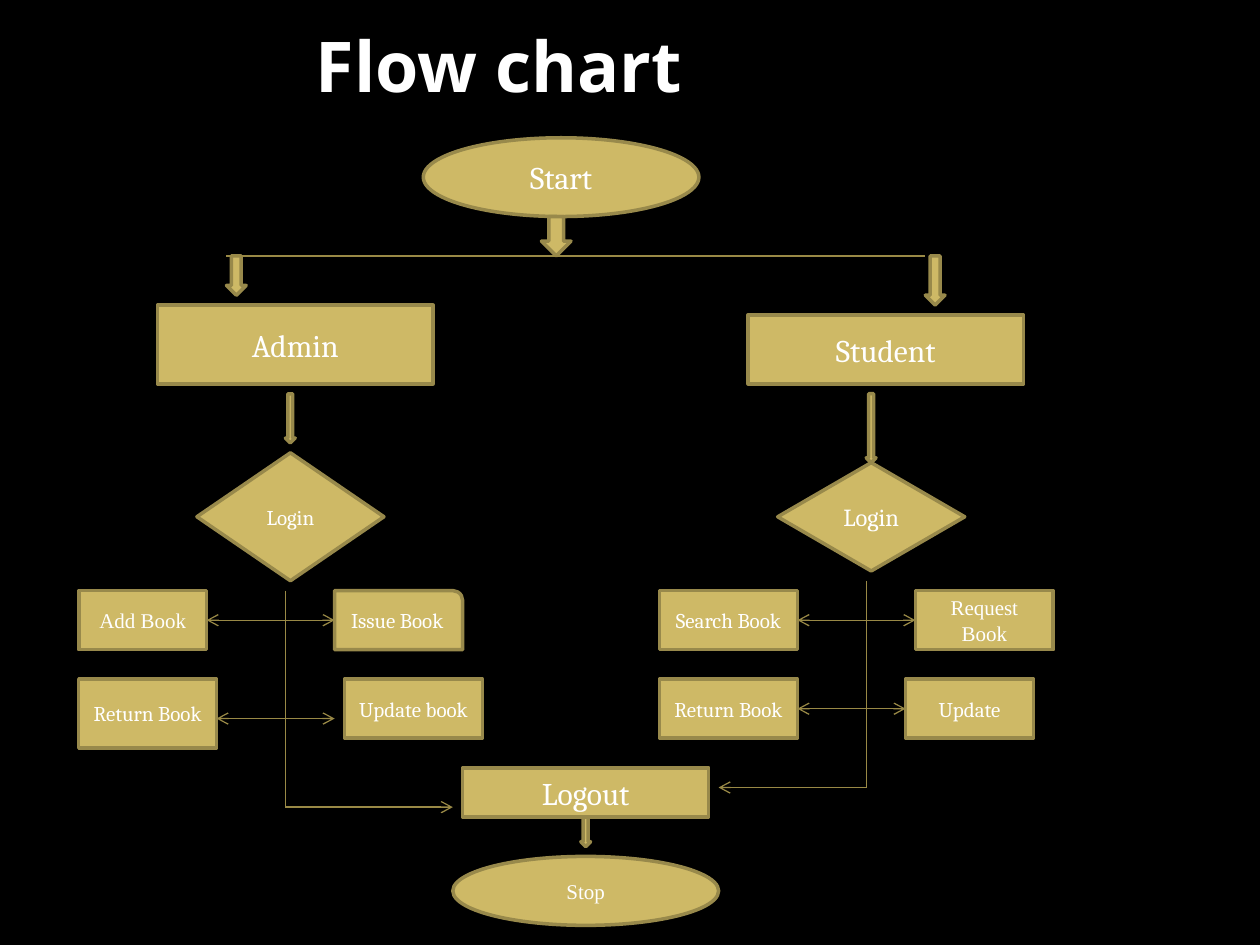
from dataclasses import dataclass
from typing import NamedTuple

from lxml.etree import SubElement
from pptx import Presentation
from pptx.dml.color import RGBColor
from pptx.enum.shapes import MSO_CONNECTOR as Connector, MSO_SHAPE as Shape
from pptx.enum.text import MSO_ANCHOR as Anchor, PP_ALIGN as Align
from pptx.oxml.ns import qn
from pptx.util import Pt


@dataclass(frozen=True)
class Theme:
    background: RGBColor = RGBColor(0x00, 0x00, 0x00)
    fill: RGBColor = RGBColor(0xCE, 0xB9, 0x66)
    outline: RGBColor = RGBColor(0x98, 0x89, 0x4B)
    connector: RGBColor = RGBColor(0x99, 0x89, 0x46)
    text: RGBColor = RGBColor(0xFF, 0xFF, 0xFF)
    title_font: str = "Open Sans"
    body_font: str = "Cambria"
    plain_font: str = "Times New Roman"
    title_size: int = 40
    large: int = 18
    medium: int = 14
    small: int = 12
    outline_width: float = 2
    connector_width: float = 0.75


THEME = Theme()
LEFT, RIGHT = 1, 3  # connection sites of a rectangle


class Node(NamedTuple):
    key: str
    label: str
    left: float
    top: float
    width: float
    height: float
    size: int = THEME.small
    kind: Shape = Shape.RECTANGLE
    font: str = THEME.body_font


class BlockArrow(NamedTuple):
    left: float
    top: float
    width: float
    height: float


class Line(NamedTuple):
    x1: float
    y1: float
    x2: float
    y2: float
    head: bool = False
    tail: bool = False
    start: str = ""
    end: str = ""


ROW_1, ROW_2 = 337.5, 388.1  # tops of the two rows of actions
NARROW, WIDE, ACTION_HEIGHT = 73.1, 78.8, 33.8
ROLE_WIDTH, DIAMOND_WIDTH = 157.5, 106.9

NODES = [
    Node("start", "Start", 241.9, 78.75, ROLE_WIDTH, 45, THEME.large, Shape.OVAL),
    Node("stop", "Stop", 258.75, 489.4, 151.9, 39.4, kind=Shape.OVAL, font=THEME.plain_font),
    Node("admin", "Admin", 90, 174.4, ROLE_WIDTH, 45, THEME.large),
    Node("student", "Student", 427.5, 180, ROLE_WIDTH, 39.4, THEME.large),
    Node("admin login", "Login", 112.5, 258.75, DIAMOND_WIDTH, 73.1, kind=Shape.DIAMOND),
    Node("student login", "Login", 444.4, 264.4, DIAMOND_WIDTH, 61.9, THEME.medium, Shape.DIAMOND),
    Node("logout", "Logout", 264.4, 438.75, 140.6, 28.1, THEME.large),
    # Admin actions
    Node("add", "Add Book", 45, ROW_1, NARROW, ACTION_HEIGHT, font=THEME.plain_font),
    Node("issue", "Issue Book", 191.25, ROW_1, NARROW, ACTION_HEIGHT, kind=Shape.ROUND_1_RECTANGLE),
    Node("admin return", "Return Book", 45, ROW_2, WIDE, 39.4),
    Node("update book", "Update book", 196.9, ROW_2, WIDE, ACTION_HEIGHT),
    # Student actions
    Node("search", "Search Book", 376.9, ROW_1, WIDE, ACTION_HEIGHT),
    Node("request", "Request Book", 523.1, ROW_1, WIDE, ACTION_HEIGHT, font=THEME.plain_font),
    Node("student return", "Return Book", 376.9, ROW_2, WIDE, ACTION_HEIGHT),
    Node("update", "Update", 517.5, ROW_2, NARROW, ACTION_HEIGHT),
]

BLOCK_ARROWS = [
    BlockArrow(309.4, 123.75, 16.9, 22.5),
    BlockArrow(129.4, 146.25, 11.25, 22.5),
    BlockArrow(528.75, 146.25, 11.25, 28.1),
    BlockArrow(163.1, 225, 5.6, 28.1),
    BlockArrow(495, 225, 5.6, 39.4),
    BlockArrow(331.9, 466.9, 5.6, 16.9),
]

LINES = [
    Line(129.4, 146.25, 528.75, 146.25),
    # Paths down to logout
    Line(163.1, 337.5, 163.1, 461.25),
    Line(495, 331.9, 495, 450),
    Line(163.1, 461.25, 258.75, 461.25, tail=True),
    Line(495, 450, 410.6, 450, tail=True),
    # Links between paired actions
    Line(118.1, 354.4, 191.25, 354.4, True, True, "add", "issue"),
    Line(123.75, 410.6, 191.25, 410.6, True, True),
    Line(455.7, 354.4, 523.1, 354.4, True, True, "search", "request"),
    Line(455.7, 405, 517.5, 405, True, True, "student return", "update"),
]


def format_text(frame, font: str, size: int, bold: bool = False) -> None:
    frame.word_wrap = True
    frame.vertical_anchor = Anchor.MIDDLE
    for para in frame.paragraphs:
        para.alignment = Align.CENTER
        for span in para.runs:
            span.font.name = font
            span.font.size = Pt(size)
            span.font.bold = bold
            span.font.color.rgb = THEME.text


def add_block(page, kind: Shape, left: float, top: float, width: float, height: float):
    box = page.shapes.add_shape(kind, Pt(left), Pt(top), Pt(width), Pt(height))
    box.shadow.inherit = False
    box.fill.solid()
    box.fill.fore_color.rgb = THEME.fill
    box.line.color.rgb = THEME.outline
    box.line.width = Pt(THEME.outline_width)
    return box


def add_node(page, node: Node):
    box = add_block(page, node.kind, node.left, node.top, node.width, node.height)
    box.text_frame.text = node.label
    format_text(box.text_frame, node.font, node.size)
    return box


def add_line(page, line: Line, boxes: dict) -> None:
    link = page.shapes.add_connector(
        Connector.STRAIGHT, Pt(line.x1), Pt(line.y1), Pt(line.x2), Pt(line.y2))
    if line.start:
        link.begin_connect(boxes[line.start], RIGHT)
    if line.end:
        link.end_connect(boxes[line.end], LEFT)
    link.line.color.rgb = THEME.connector
    link.line.width = Pt(THEME.connector_width)
    outline = link.line._get_or_add_ln()
    for tag, shown in (("a:headEnd", line.head), ("a:tailEnd", line.tail)):
        if shown:
            SubElement(outline, qn(tag), type="arrow")
    SubElement(link._element.spPr, qn("a:effectLst"))


def add_title(page) -> None:
    title = page.shapes.title
    title.left, title.top, title.width, title.height = Pt(36), Pt(0), Pt(498), Pt(73.5)
    title.text_frame.text = "Flow chart"
    format_text(title.text_frame, THEME.title_font, THEME.title_size, bold=True)


def main() -> None:
    deck = Presentation()
    deck.slide_width, deck.slide_height = Pt(720), Pt(540)
    page = deck.slides.add_slide(deck.slide_layouts[5])
    page.background.fill.solid()
    page.background.fill.fore_color.rgb = THEME.background

    add_title(page)
    boxes = {node.key: add_node(page, node) for node in NODES}
    for arrow in BLOCK_ARROWS:
        add_block(page, Shape.DOWN_ARROW, *arrow)
    for line in LINES:
        add_line(page, line, boxes)
    deck.save("out.pptx")


if __name__ == "__main__":
    main()
